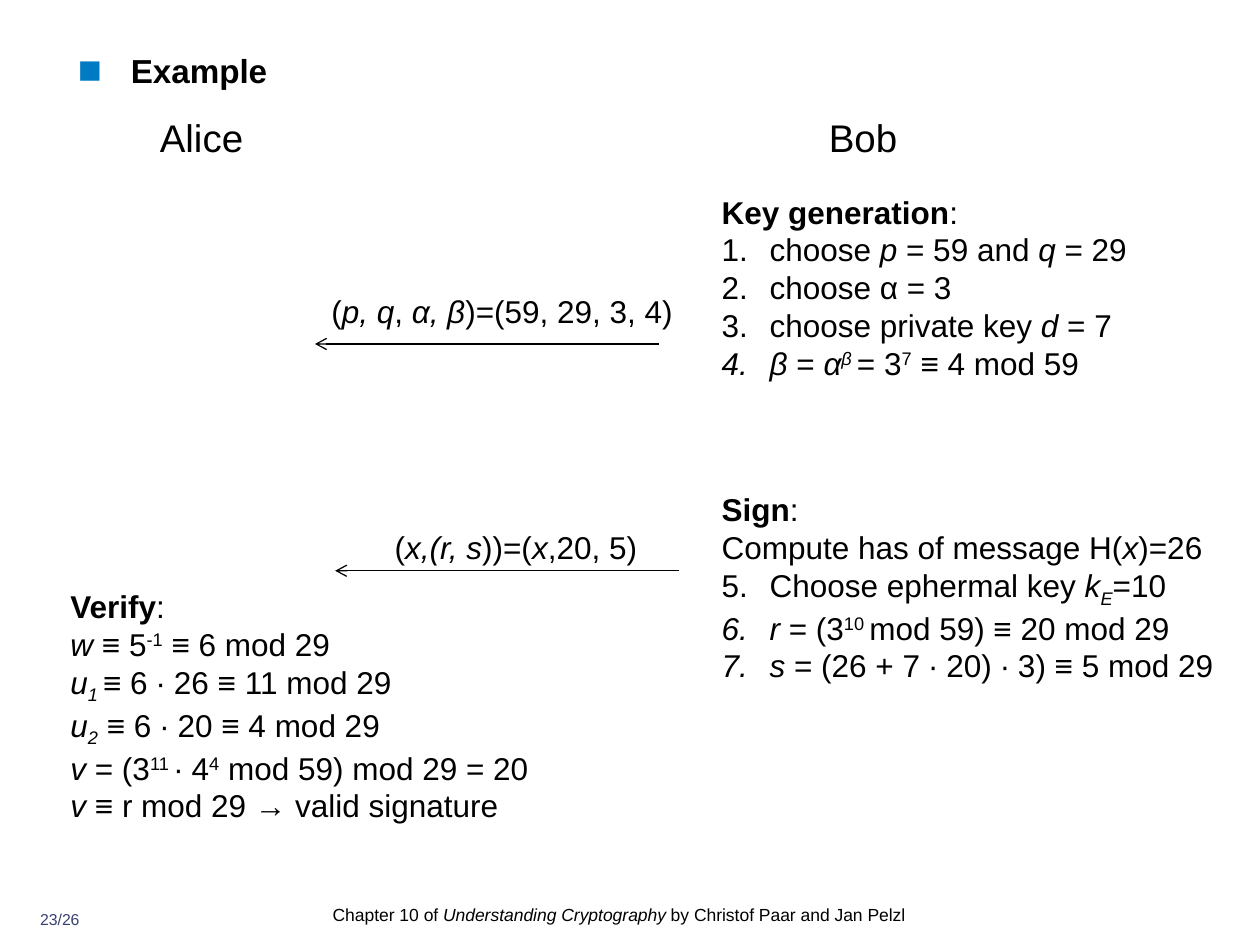
from lxml.etree import SubElement
from pptx import Presentation
from pptx.dml.color import RGBColor
from pptx.enum.shapes import MSO_CONNECTOR
from pptx.enum.text import PP_ALIGN
from pptx.oxml.ns import qn
from pptx.util import Inches, Pt

BLACK, BLUE, NAVY = "000000", "007AC2", "394073"
STYLES = {
    "b": {"bold": True},
    "i": {"italic": True},
}
BASELINES = {"^": "30000", "_": "-25000"}


def color(value):
    return RGBColor.from_string(value)


class SlideBuilder:
    """Hold the text style and the current slide, and add elements to it."""

    def __init__(self, slide, font="Arial", size=18):
        self.slide = slide
        self.font = font
        self.size = size

    def run(self, paragraph, text, style, size, ink):
        run = paragraph.add_run()
        run.text = text
        values = {"name": self.font, "size": Pt(size), "bold": False, "italic": False}
        for mark in style:
            values.update(STYLES.get(mark, {}))
            if mark in BASELINES:
                run._r.get_or_add_rPr().set("baseline", BASELINES[mark])
        for name, value in values.items():
            setattr(run.font, name, value)
        run.font.color.rgb = color(ink)

    def bullet(self, paragraph, tag, ink, percent=100, **attributes):
        properties = paragraph._p.get_or_add_pPr()
        fill = SubElement(properties, qn("a:buClr"))
        SubElement(fill, qn("a:srgbClr"), val=ink)
        SubElement(properties, qn("a:buSzPct"), val=str(percent * 1000))
        SubElement(properties, qn("a:buFont"), typeface=self.font)
        SubElement(properties, qn(tag), **attributes)

    def hang(self, paragraph, left, first):
        properties = paragraph._p.get_or_add_pPr()
        properties.set("marL", str(Inches(left)))
        properties.set("indent", str(Inches(first)))

    def text(self, box, lines, size=None, ink=BLACK, indent=(0, 0), inset=(0.1, 0.05), **layout):
        frame = self.slide.shapes.add_textbox(*map(Inches, box)).text_frame
        across, down = map(Inches, inset)
        margins = {"margin_left": across, "margin_right": across,
                   "margin_top": down, "margin_bottom": down, "word_wrap": True}
        for name, value in margins.items():
            setattr(frame, name, value)
        for index, runs in enumerate(lines):
            paragraph = frame.add_paragraph() if index else frame.paragraphs[0]
            self.hang(paragraph, *indent)
            for name, value in layout.items():
                setattr(paragraph, name, value)
            for content, style in runs:
                self.run(paragraph, content, style, size or self.size, ink)
        return frame.paragraphs

    def arrow(self, start, end, y):
        line = self.slide.shapes.add_connector(
            MSO_CONNECTOR.STRAIGHT, Inches(start), Inches(y), Inches(end), Inches(y))
        line.line.color.rgb = color(BLACK)
        line.line.width = Pt(0.75)
        SubElement(line.line._get_or_add_ln(), qn("a:tailEnd"), type="arrow")
        SubElement(line._element.spPr, qn("a:effectLst"))


KEY_GENERATION = [
    [("choose ", ""), ("p", "i"), (" = 59 and ", ""), ("q", "i"), (" = 29", "")],
    [("choose α = 3", "")],
    [("choose private key ", ""), ("d", "i"), (" = 7", "")],
    [("β", "i"), (" = ", ""), ("α", "i"), ("β ", "i^"), ("= 3", ""), ("7", "^"),
     (" ≡ 4 mod 59", "")],
]
SIGNING = [
    [("Choose ephermal key ", ""), ("k", "i"), ("E", "i_"), ("=10", "")],
    [("r", "i"), (" = (3", ""), ("10 ", "^"), ("mod 59) ≡ 20 mod 29", "")],
    [("s", "i"), (" = (26 + 7 ∙ 20) ∙ 3) ≡ 5 mod 29", "")],
]
BOB_STEPS = [
    [("Key generation", "b"), (":", "")],
    *KEY_GENERATION,
    [("Sign", "b"), (":", "")],
    [("Compute has of message H(", ""), ("x", "i"), (")=26", "")],
    *SIGNING,
]
VERIFICATION = [
    [("Verify", "b"), (":", "")],
    [("w", "i"), (" ≡ 5", ""), ("-1", "^"), (" ≡ 6 mod 29", "")],
    [("u", "i"), ("1 ", "i_"), ("≡ 6 ∙ 26 ≡ 11 mod 29", "")],
    [("u", "i"), ("2", "i_"), (" ≡ 6 ∙ 20 ≡ 4 mod 29", "")],
    [("v", "i"), (" = (3", ""), ("11 ", "^"), ("∙ 4", ""), ("4", "^"),
     (" mod 59) mod 29 = 20", "")],
    [("v", "i"), (" ≡ r mod 29 → valid signature", "")],
]
PUBLIC_KEY = [("(", ""), ("p, q", "i"), (", ", ""), ("α, β", "i"), (")=(59, 29, 3, 4)", "")]
SIGNED_MESSAGE = [("(", ""), ("x,(r, s", "i"), ("))=(", ""), ("x", "i"), (",20, 5)", "")]
CREDIT = [("Chapter 10 of ", ""), ("Understanding Cryptography", "i"),
          (" by Christof Paar and Jan Pelzl", "")]


def main():
    deck = Presentation()
    deck.slide_width, deck.slide_height = Inches(10), Inches(7.5)
    builder = SlideBuilder(deck.slides.add_slide(deck.slide_layouts[6]))

    builder.text((0.2, 7.22, 0.55, 0.24), [[("23/26", "")]], 9, NAVY,
                 inset=(0, 0), alignment=PP_ALIGN.CENTER)
    builder.text((2.64, 7.14, 4.73, 0.28), [CREDIT], 10, inset=(0, 0), line_spacing=1.2)

    heading = builder.text((0.52, 0.35, 7.07, 0.56), [[("Example", "b")]], 19,
                           indent=(0.42, -0.42))
    builder.bullet(heading[0], "a:buChar", BLUE, 120, char="■")
    for name, left, width in (("Alice", 1.17, 1.02), ("Bob", 6.48, 2.03)):
        builder.text((left, 0.86, width, 0.47), [[(name, "")]], 22)

    for start, y in ((5.23, 2.73), (5.39, 4.53)):
        builder.arrow(start, start - 2.73, y)

    steps = builder.text((5.63, 1.48, 4.14, 4.34), BOB_STEPS, indent=(0.38, -0.38))
    sign_index = len(KEY_GENERATION) + 1
    steps[sign_index].space_before = Pt(62)
    for first, group in ((1, steps[1:sign_index]), (5, steps[sign_index + 2:])):
        for step in group:
            builder.bullet(step, "a:buAutoNum", BLACK, type="arabicPeriod", startAt=str(first))

    for box, message in (((2.5, 2.27, 2.97, 0.4), PUBLIC_KEY),
                         ((2.73, 4.14, 2.73, 0.4), SIGNED_MESSAGE)):
        builder.text(box, [message], alignment=PP_ALIGN.CENTER)
    builder.text((0.39, 4.61, 4.61, 1.98), VERIFICATION, indent=(0.07, 0))

    deck.save("out.pptx")


if __name__ == "__main__":
    main()
